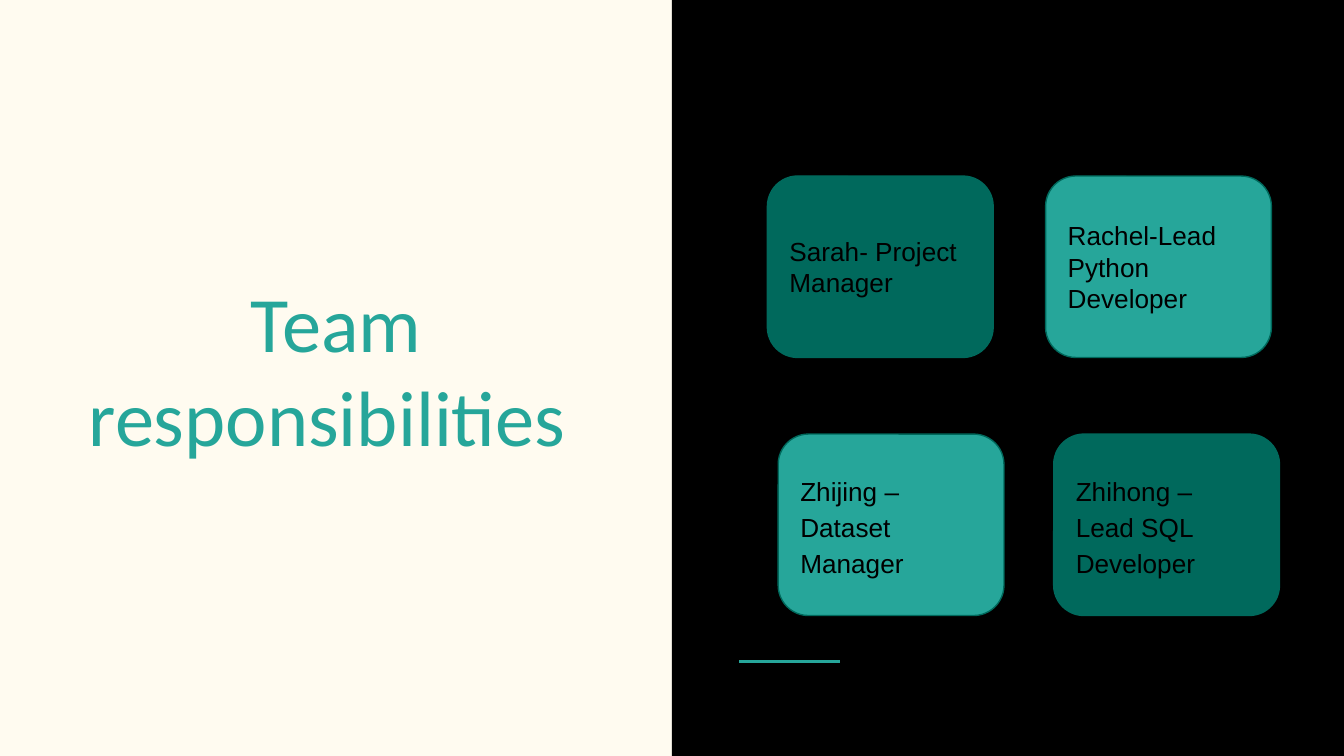
from dataclasses import dataclass

from lxml.etree import SubElement
from pptx import Presentation
from pptx.dml.color import RGBColor
from pptx.enum.shapes import MSO_CONNECTOR as Connector, MSO_SHAPE as Shape
from pptx.enum.text import MSO_ANCHOR as Anchor, PP_ALIGN as Align
from pptx.oxml.ns import qn
from pptx.util import Inches, Pt

CREAM = RGBColor(0xFF, 0xFB, 0xF0)
BLACK = RGBColor(0, 0, 0)
TEAL = RGBColor(0x26, 0xA6, 0x9A)
DARK_TEAL = RGBColor(0x00, 0x69, 0x5C)
SLIDE_WIDTH = Inches(10)
SLIDE_HEIGHT = SLIDE_WIDTH * 9 // 16
CARD_WIDTH, CARD_HEIGHT = 1.68, 1.35
TOP_ROW, BOTTOM_ROW = 1.31, 3.23


@dataclass
class Card:
    text: str
    left: float
    top: float
    fill: RGBColor
    spacing: float


CARDS = [
    Card("Sarah- Project Manager ", 5.71, TOP_ROW, DARK_TEAL, 1.0),
    Card("Rachel-Lead Python Developer ", 7.78, TOP_ROW, TEAL, 1.0),
    Card("Zhijing – Dataset Manager", 5.79, BOTTOM_ROW, TEAL, 1.15),
    Card("Zhihong – Lead SQL Developer", 7.84, BOTTOM_ROW, DARK_TEAL, 1.15),
]


def write_text(shape, text: str, font: str, size: float, color: RGBColor,
               align: Align, anchor: Anchor, spacing: float = 1.0) -> None:
    frame = shape.text_frame
    frame.word_wrap = True
    frame.vertical_anchor = anchor
    frame.margin_left = frame.margin_right = Inches(0.1)
    frame.margin_top = frame.margin_bottom = Inches(0.1)
    para = frame.paragraphs[0]
    para.text = text
    para.alignment = align
    para.line_spacing = spacing
    para.font.name = font
    para.font.size = Pt(size)
    para.font.color.rgb = color


def add_panel(page) -> None:
    half = SLIDE_WIDTH // 2
    panel = page.shapes.add_shape(Shape.RECTANGLE, half, 0, half, SLIDE_HEIGHT)
    panel.shadow.inherit = False
    panel.fill.solid()
    panel.fill.fore_color.rgb = BLACK
    panel.line.fill.background()


def add_accent(page) -> None:
    accent = page.shapes.add_connector(
        Connector.STRAIGHT, Inches(5.5), Inches(4.92), Inches(6.25), Inches(4.92))
    accent.line.color.rgb = TEAL
    accent.line.width = Pt(1.5)
    SubElement(accent.element.spPr, qn("a:effectLst"))


def add_title(page) -> None:
    title = page.shapes.add_textbox(Inches(0.29), Inches(2), Inches(4.42), Inches(1.54))
    write_text(title, "Team responsibilities ", "Calibri", 42, TEAL, Align.CENTER, Anchor.BOTTOM)


def add_card(page, card: Card) -> None:
    box = page.shapes.add_shape(
        Shape.ROUNDED_RECTANGLE, Inches(card.left), Inches(card.top),
        Inches(CARD_WIDTH), Inches(CARD_HEIGHT))
    box.shadow.inherit = False
    box.fill.solid()
    box.fill.fore_color.rgb = card.fill
    box.line.color.rgb = DARK_TEAL
    box.line.width = Pt(0.75)
    write_text(box, card.text, "Arial", 14, BLACK, Align.LEFT, Anchor.MIDDLE, card.spacing)


deck = Presentation()
deck.slide_width, deck.slide_height = SLIDE_WIDTH, SLIDE_HEIGHT
page = deck.slides.add_slide(deck.slide_layouts[6])
page.background.fill.solid()
page.background.fill.fore_color.rgb = CREAM
add_panel(page)
add_accent(page)
add_title(page)
for card in CARDS:
    add_card(page, card)
deck.save("out.pptx")
